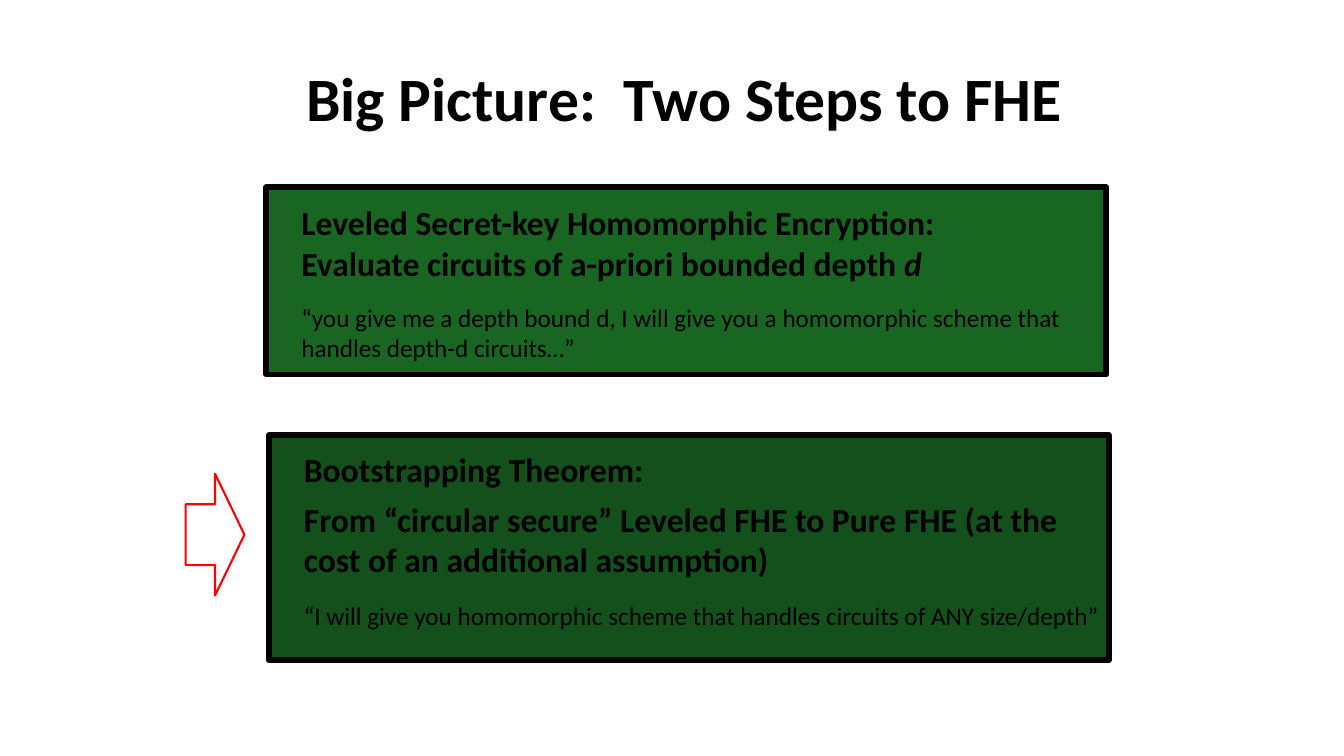
from dataclasses import dataclass

from pptx import Presentation, util as u
from pptx.dml.color import RGBColor
from pptx.enum import shapes, text

BLACK = RGBColor(0x00, 0x00, 0x00)
RED = RGBColor(0xFF, 0x00, 0x00)
GREEN = RGBColor(0x18, 0x66, 0x22)
DARK_GREEN = RGBColor(0x13, 0x50, 0x1B)

FONT = "Calibri"
COLUMNS, ROWS = 160, 90
SLIDE_WIDTH, SLIDE_HEIGHT = u.Inches(13.33), u.Inches(7.5)
TITLE_ONLY = 5
TITLE_SIZE, HEADING_SIZE, QUOTE_SIZE = 44, 24, 18
TEXT_INDENT, TEXT_WIDTH = 3, 98


@dataclass
class Box:
    left: float
    top: float
    width: float
    height: float

    def inside(self, left, top, width, height):
        return Box(self.left + left, self.top + top, width, height)

    def place(self):
        column, row = SLIDE_WIDTH / COLUMNS, SLIDE_HEIGHT / ROWS
        return (
            round(self.left * column),
            round(self.top * row),
            round(self.width * column),
            round(self.height * row),
        )


def add_span(para, words, size, bold=False, italic=False):
    span = para.add_run()
    span.text = words
    span.font.name = FONT
    span.font.size = u.Pt(size)
    span.font.bold = bold
    span.font.italic = italic
    span.font.color.rgb = BLACK


def add_title(page, box, words):
    title = page.shapes.title
    title.left, title.top, title.width, title.height = box.place()
    title.text_frame.vertical_anchor = text.MSO_ANCHOR.MIDDLE
    para = title.text_frame.paragraphs[0]
    para.alignment = text.PP_ALIGN.CENTER
    add_span(para, words, TITLE_SIZE, bold=True)


def add_statement(page, box, spans, size, bold):
    frame = page.shapes.add_textbox(*box.place()).text_frame
    frame.word_wrap = True
    para = frame.paragraphs[0]
    for words, italic in spans:
        add_span(para, words, size, bold, italic)


def add_step(page, box, fill, headings, quote):
    panel = page.shapes.add_shape(shapes.MSO_SHAPE.RECTANGLE, *box.place())
    panel.shadow.inherit = False
    panel.fill.solid()
    panel.fill.fore_color.rgb = fill
    panel.line.color.rgb = BLACK
    panel.line.width = u.Pt(4)
    for top, spans in headings:
        area = box.inside(TEXT_INDENT, top, TEXT_WIDTH, 6)
        add_statement(page, area, spans, HEADING_SIZE, True)
    top, words = quote
    area = box.inside(TEXT_INDENT, top, TEXT_WIDTH, 5)
    add_statement(page, area, [(words, False)], QUOTE_SIZE, False)


def add_marker(page, box):
    arrow = page.shapes.add_shape(shapes.MSO_SHAPE.RIGHT_ARROW, *box.place())
    arrow.shadow.inherit = False
    arrow.fill.background()
    arrow.line.color.rgb = RED
    arrow.line.width = u.Pt(1.5)


def main():
    deck = Presentation()
    deck.slide_width, deck.slide_height = SLIDE_WIDTH, SLIDE_HEIGHT
    page = deck.slides.add_slide(deck.slide_layouts[TITLE_ONLY])

    add_title(page, Box(25, 4, 113, 15), "Big Picture:  Two Steps to FHE")
    add_step(
        page,
        Box(31.7, 22.3, 100, 22.3),
        GREEN,
        [
            (1.2, [("Leveled Secret-key Homomorphic Encryption:", False)]),
            (6, [("Evaluate circuits of a-priori bounded depth ", False), ("d", True)]),
        ],
        (13.1, "“you give me a depth bound d, I will give you a homomorphic scheme "
               "that handles depth-d circuits…”"),
    )
    add_step(
        page,
        Box(32, 51.8, 100, 26.8),
        DARK_GREEN,
        [
            (1, [("Bootstrapping Theorem:", False)]),
            (7, [("From “circular secure” Leveled FHE to Pure FHE (at the cost of "
                  "an additional assumption)", False)]),
        ],
        (19.1, "“I will give you homomorphic scheme that handles circuits of "
               "ANY size/depth”"),
    )
    add_marker(page, Box(22.1, 56.4, 7, 14.5))
    deck.save("out.pptx")


if __name__ == "__main__":
    main()
